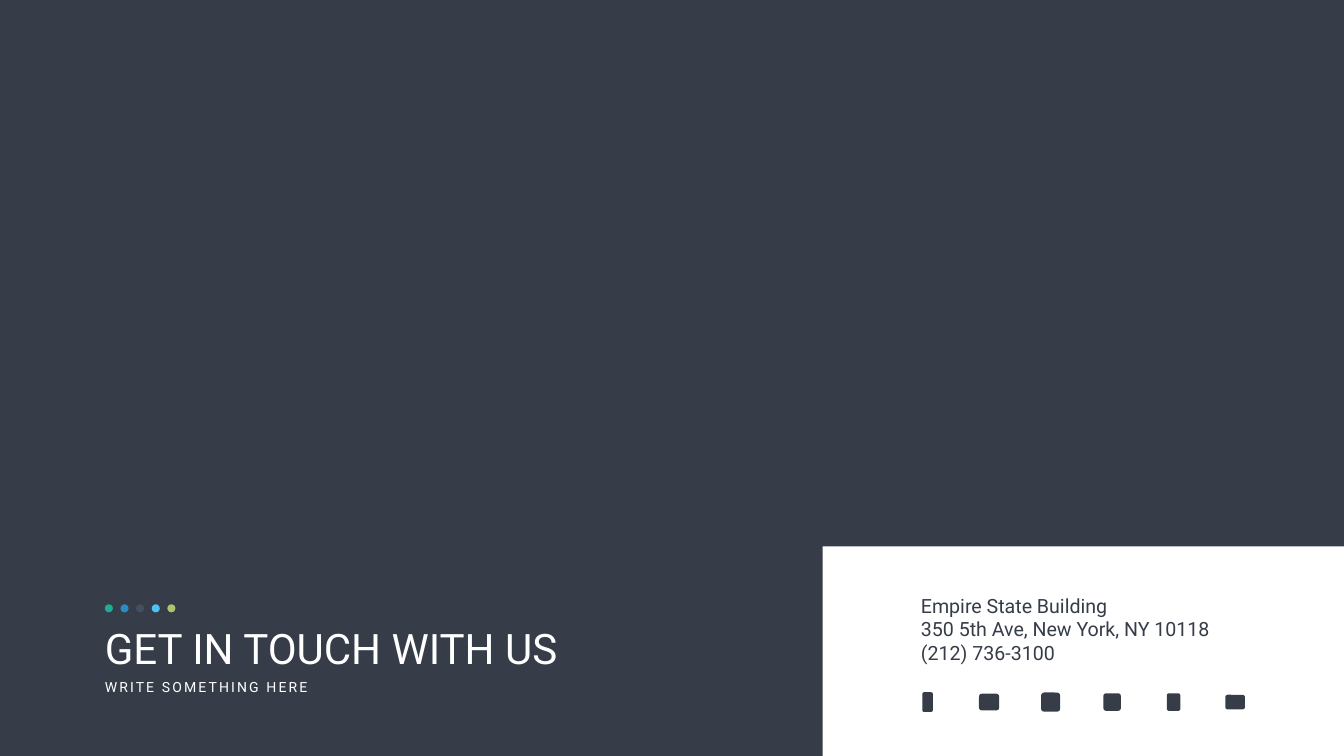
"""Build the contact slide with a title, an address card and a row of marks."""
import pptx
import pptx.util
import pptx.dml.color
import pptx.enum.shapes

WIDE, HIGH = 26.66, 15
DARK, WHITE = "363D48", "FFFFFF"
KIND = pptx.enum.shapes.MSO_SHAPE

TEXTS = [
    (["GET IN TOUCH WITH US"], (1.98, 12.3, 9.32, 1.11), 60, WHITE, 0, True),
    (["WRITE SOMETHING HERE"], (1.98, 13.41, 4.35, 0.44), 20, WHITE, 3, False),
    (["Empire State Building", "350 5th Ave, New York, NY 10118", "(212) 736-3100"],
     (18.17, 11.73, 6.06, 1.51), 28, DARK, 0, True),
]
DOTS = ["1CAD97", "2B8BC7", "425060", "4EC2F4", "AAC46F"]
DOT_LEFT, DOT_TOP, DOT_SIZE, DOT_STEP = 2.08, 11.99, 0.16, 0.31
MARKS = [(0.21, 0.39), (0.4, 0.33), (0.38, 0.38), (0.35, 0.35), (0.27, 0.35), (0.39, 0.29)]
MARK_X, MARK_Y, MARK_STEP = 18.4, 13.93, 1.22
CARD_LEFT, CARD_TOP = 16.32, 10.84


def paint(fill, color):
    fill.solid()
    fill.fore_color.rgb = pptx.dml.color.RGBColor.from_string(color)


def place(box):
    return [pptx.util.Inches(side) for side in box]


def draw(slide, kind, box, color):
    shape = slide.shapes.add_shape(kind, *place(box))
    shape.shadow.inherit = False
    paint(shape.fill, color)
    shape.line.fill.background()


def write(slide, lines, box, size, color, gap, wrap):
    frame = slide.shapes.add_textbox(*place(box)).text_frame
    frame.word_wrap = wrap
    frame.text = "\n".join(lines)
    for line in frame.paragraphs:
        for run in line.runs:
            run.font.name = "Roboto"
            run.font.size = pptx.util.Pt(size)
            paint(run.font.fill, color)
            if gap:
                run.font._element.set("spc", str(gap * 100))


def main():
    deck = pptx.Presentation()
    deck.slide_width, deck.slide_height = place((WIDE, HIGH))
    slide = deck.slides.add_slide(deck.slide_layouts[6])
    paint(slide.background.fill, DARK)
    card = (CARD_LEFT, CARD_TOP, WIDE - CARD_LEFT, HIGH - CARD_TOP)
    draw(slide, KIND.RECTANGLE, card, WHITE)
    for i, color in enumerate(DOTS):
        box = (DOT_LEFT + i * DOT_STEP, DOT_TOP, DOT_SIZE, DOT_SIZE)
        draw(slide, KIND.OVAL, box, color)
    for i, (wide, high) in enumerate(MARKS):
        left = MARK_X + i * MARK_STEP - wide / 2
        draw(slide, KIND.ROUNDED_RECTANGLE, (left, MARK_Y - high / 2, wide, high), DARK)
    for item in TEXTS:
        write(slide, *item)
    deck.save("out.pptx")


if __name__ == "__main__":
    main()
